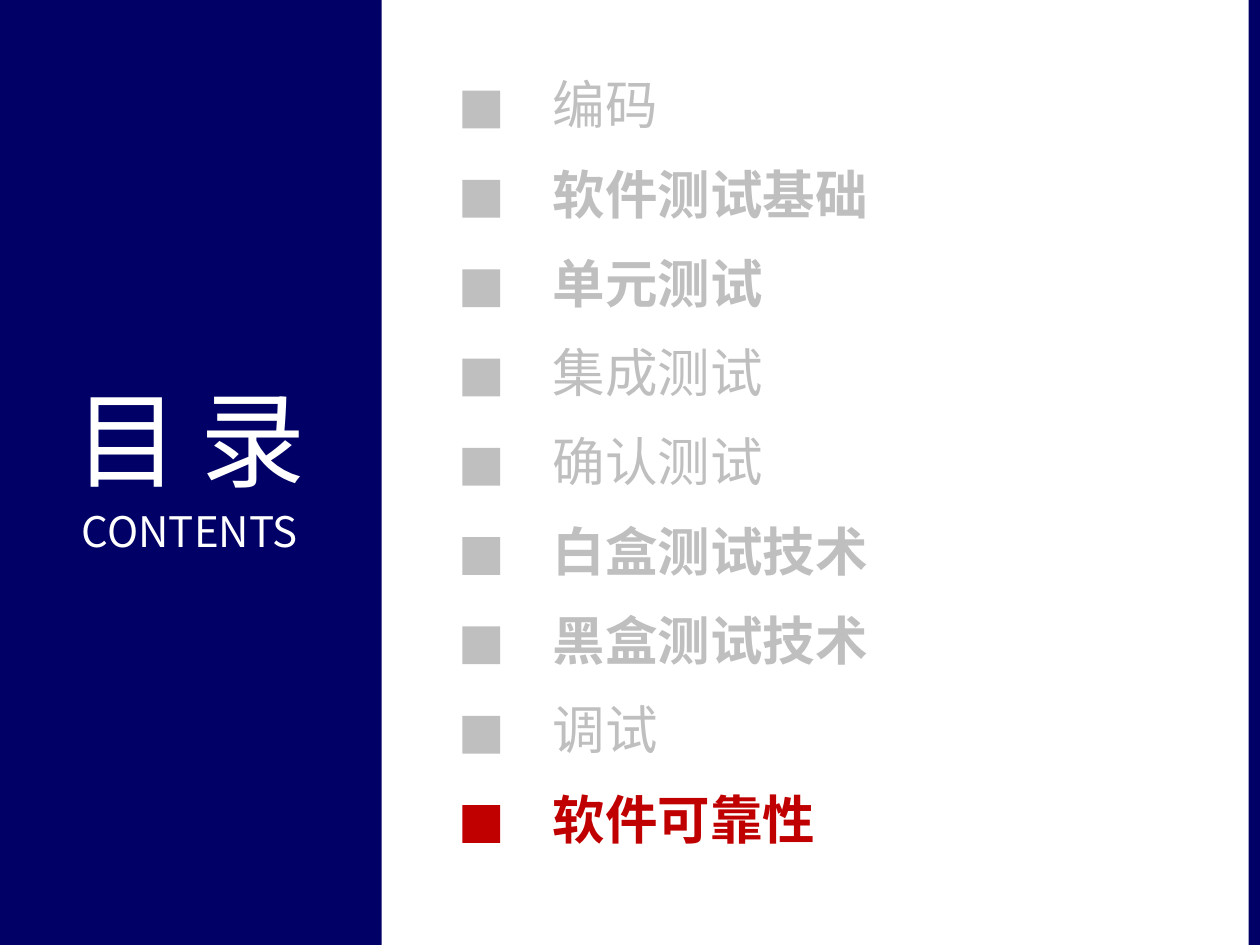
from pptx import Presentation
from pptx.dml.color import RGBColor
from pptx.enum.shapes import MSO_SHAPE
from pptx.enum.text import MSO_ANCHOR, PP_ALIGN
from pptx.util import Inches, Pt

RECTANGLE = MSO_SHAPE.RECTANGLE
MIDDLE = MSO_ANCHOR.MIDDLE
LEFT, CENTER = PP_ALIGN.LEFT, PP_ALIGN.CENTER

FONT = "Noto Sans CJK SC"
NAVY, WHITE, GRAY, RED = "000066", "FFFFFF", "BFBFBF", "C00000"
CURRENT = "软件可靠性"
TOPICS = [
    ("编码", False),
    ("软件测试基础", True),
    ("单元测试", True),
    ("集成测试", False),
    ("确认测试", False),
    ("白盒测试技术", True),
    ("黑盒测试技术", True),
    ("调试", False),
    (CURRENT, True),
]


def rgb(color):
    """Turn a hex string into a colour."""
    return RGBColor.from_string(color)


def add_block(slide, left, top, width, height, color):
    """Draw a plain filled rectangle, measured in inches."""
    block = slide.shapes.add_shape(
        RECTANGLE, Inches(left), Inches(top), Inches(width), Inches(height))
    block.shadow.inherit = False
    block.fill.solid()
    block.fill.fore_color.rgb = rgb(color)
    block.line.fill.background()


def add_frame(slide, left, top, width, height):
    """Add a wrapping text box and return its text frame."""
    frame = slide.shapes.add_textbox(
        Inches(left), Inches(top), Inches(width), Inches(height)).text_frame
    frame.word_wrap = True
    frame.vertical_anchor = MIDDLE
    return frame


def write(paragraph, text, size, color, bold=False, align=LEFT):
    """Fill a paragraph with text in one style."""
    paragraph.text = text
    paragraph.alignment = align
    paragraph.line_spacing = 0.9
    paragraph.font.name = FONT
    paragraph.font.size = Pt(size)
    paragraph.font.bold = bold
    paragraph.font.color.rgb = rgb(color)
    for run in paragraph.runs:
        run_properties = run._r.get_or_add_rPr()
        east_asian = run_properties.makeelement(
            "{http://schemas.openxmlformats.org/drawingml/2006/main}ea",
            {"typeface": FONT})
        run_properties.append(east_asian)


def add_title_panel(slide, left, top, width, height):
    """Draw the navy panel with the centred title."""
    add_block(slide, left, top, width, height, NAVY)
    title_height = 1.72
    frame = add_frame(
        slide, left, top + (height - title_height) / 2, width, title_height)
    title = frame.paragraphs[0]
    write(title, "目录", 60, WHITE, align=CENTER)
    title.runs[0]._r.get_or_add_rPr().set("spc", "1200")
    subtitle = frame.add_paragraph()
    write(subtitle, "CONTENTS", 24, WHITE, align=CENTER)
    subtitle.space_before = Pt(5)


def add_agenda(slide, left, top, width, height):
    """List the topics with square markers, the current one in red."""
    marker, indent, row_height = 0.3, 0.62, 0.61
    pitch = (height - row_height) / (len(TOPICS) - 1)
    for index, (topic, bold) in enumerate(TOPICS):
        color = RED if topic == CURRENT else GRAY
        row_top = top + index * pitch
        add_block(slide, left, row_top + 0.17, marker, marker, color)
        frame = add_frame(
            slide, left + indent, row_top, width - indent, row_height)
        write(frame.paragraphs[0], topic, 30, color, bold)


def main():
    """Build the contents slide."""
    deck = Presentation()
    deck.slide_width, deck.slide_height = Inches(10), Inches(7.5)
    slide = deck.slides.add_slide(deck.slide_layouts[6])
    add_title_panel(slide, -0.02, 0, 3.05, 7.5)
    add_block(slide, 9.91, 0, 0.09, 7.5, NAVY)
    add_agenda(slide, 3.67, 0.55, 4.48, 6.28)
    deck.save("out.pptx")


if __name__ == "__main__":
    main()
